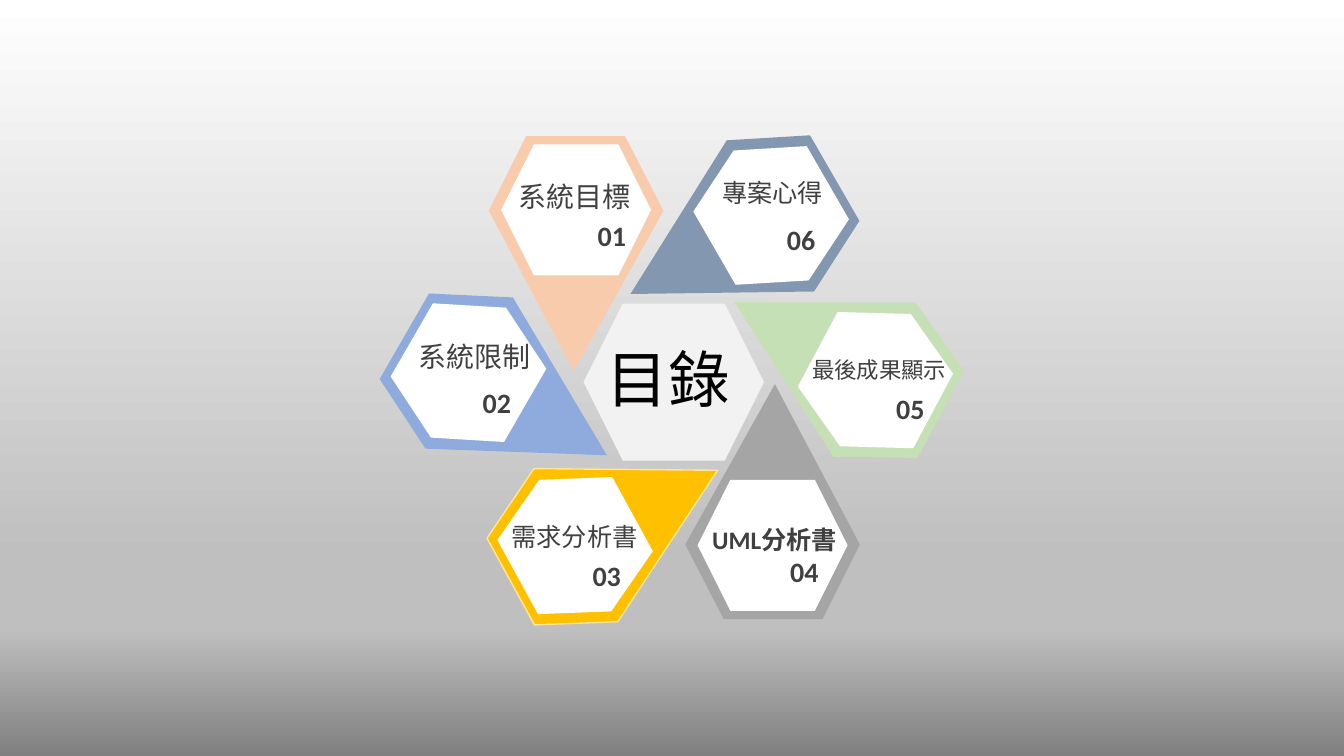
from math import cos, radians, sin

from lxml.etree import SubElement
from pptx import Presentation
from pptx.dml.color import RGBColor
from pptx.enum.shapes import MSO_SHAPE as SHAPE
from pptx.enum.text import MSO_AUTO_SIZE as FIT, PP_ALIGN as ALIGN
from pptx.oxml.ns import qn
from pptx.util import Cm, Pt

WHITE = RGBColor(0xFF, 0xFF, 0xFF)
BLACK = RGBColor(0x00, 0x00, 0x00)
DARK = RGBColor(0x40, 0x40, 0x40)
PALE = RGBColor(0xF2, 0xF2, 0xF2)
SILVER = RGBColor(0xBF, 0xBF, 0xBF)
SHADE = RGBColor(0x80, 0x80, 0x80)
PEACH = RGBColor(0xF8, 0xCB, 0xAD)
SLATE = RGBColor(0x84, 0x97, 0xB0)
GREEN = RGBColor(0xC5, 0xE0, 0xB4)
GRAY = RGBColor(0xA5, 0xA5, 0xA5)
GOLD = RGBColor(0xFF, 0xC0, 0x00)
CREAM = RGBColor(0xFF, 0xE6, 0x99)
BLUE = RGBColor(0x8F, 0xAA, 0xDC)

LATIN, CJK = "Calibri", "Noto Sans CJK JP"
OUTLINE = [(1.26, 2.96), (-1.23, 2.96), (-2.2, 1.08), (0.06, -2.96), (2.2, 1.08)]
HEX_W, HEX_H, HEX_SHIFT = 3.78, 3.3, 1.1
LABEL_W, NUMBER_W = 4.04, 1.25

# centre x, centre y, rotation, fill, line
PETALS = [
    (14.52, 6.39, 180, PEACH, None),
    (18.48, 5.98, 240, SLATE, None),
    (21.09, 9.06, 298.1, GREEN, None),
    (19.47, 12.64, 0, GRAY, None),
    (15.46, 13.22, 61.3, GOLD, CREAM),
    (12.76, 9.94, 120, BLUE, None),
]
# number, right edge, top
NUMBERS = [
    ("01", 16.03, 5.38), ("06", 20.8, 5.49), ("05", 23.55, 9.73),
    ("04", 20.88, 13.84), ("03", 15.9, 13.94), ("02", 13.13, 9.58),
]
# label, centre x, top, size, font, bold
LABELS = [
    ("系統目標", 14.47, 4.39, 20, CJK, False),
    ("專案心得", 19.47, 4.34, 18, CJK, False),
    ("最後成果顯示", 22.16, 8.84, 16, CJK, False),
    ("UML分析書", 19.52, 13.08, 18, LATIN, True),
    ("需求分析書", 14.48, 13.0, 18, CJK, False),
    ("系統限制", 11.95, 8.43, 20, CJK, False),
]


def write(tf, text, size=20, font=CJK, color=DARK, bold=False, align=ALIGN.CENTER):
    p = tf.paragraphs[0]
    p.alignment = align
    r = p.add_run()
    r.text = text
    r.font.size, r.font.name, r.font.bold = Pt(size), font, bold
    r.font.color.rgb = color
    SubElement(r.font._element, qn("a:ea"), typeface=CJK)


class Wheel:
    """Draws the contents wheel on one slide, with lengths in centimetres."""

    def __init__(self, s):
        self.s = s
        self.shapes = s.shapes.add_group_shape().shapes

    def background(self, stops):
        fill = self.s.background.fill
        fill.gradient()
        fill.gradient_angle = 270
        gs_list = next(self.s._element.iter(qn("a:gsLst")))
        for gs in list(gs_list):
            gs_list.remove(gs)
        for percent, color in stops:
            gs = SubElement(gs_list, qn("a:gs"), pos=str(percent * 1000))
            SubElement(gs, qn("a:srgbClr"), val=str(color))

    def paint(self, sp, fill, line=None):
        sp.shadow.inherit = False
        sp.fill.solid()
        sp.fill.fore_color.rgb = fill
        if line is None:
            sp.line.fill.background()
        else:
            sp.line.color.rgb = line
            sp.line.width = Pt(1)

    def hexagon(self, cx, cy, w, h, fill, rotation=0):
        sp = self.shapes.add_shape(
            SHAPE.HEXAGON, Cm(cx - w / 2), Cm(cy - h / 2), Cm(w), Cm(h))
        sp.rotation = rotation
        self.paint(sp, fill)

    def petal(self, cx, cy, rotation, fill, line):
        points = [(Cm(cx + x), Cm(cy + y)) for x, y in OUTLINE]
        builder = self.shapes.build_freeform(*points[0])
        builder.add_line_segments(points[1:], close=True)
        sp = builder.convert_to_shape()
        sp.rotation = rotation
        self.paint(sp, fill, line)
        turn = radians(rotation)
        self.hexagon(cx - HEX_SHIFT * sin(turn), cy + HEX_SHIFT * cos(turn),
                     HEX_W, HEX_H, WHITE, (rotation + 180) % 360)

    def text(self, text, x, y, w, h, wrap=True, shapes=None, **style):
        sp = (shapes or self.shapes).add_textbox(Cm(x), Cm(y), Cm(w), Cm(h))
        tf = sp.text_frame
        tf.word_wrap = wrap
        tf.auto_size = FIT.SHAPE_TO_FIT_TEXT
        write(tf, text, **style)


def main():
    prs = Presentation()
    prs.slide_width, prs.slide_height = Cm(33.87), Cm(19.05)
    wheel = Wheel(prs.slides.add_slide(prs.slide_layouts[6]))
    wheel.background([(0, WHITE), (74, SILVER), (83, SILVER), (100, SHADE)])
    wheel.hexagon(16.98, 9.63, 4.55, 3.96, PALE)
    for petal in PETALS:
        wheel.petal(*petal)
    for number, right, top in NUMBERS:
        wheel.text(number, right - NUMBER_W, top, NUMBER_W, 1.12, wrap=False,
                   font=LATIN, bold=True, align=ALIGN.RIGHT)
    for label, cx, top, size, font, bold in LABELS:
        wheel.text(label, cx - LABEL_W / 2, top, LABEL_W, size * 0.056,
                   size=size, font=font, bold=bold)
    wheel.text("目錄", 15.04, 8.46, 3.63, 2.13, shapes=wheel.s.shapes,
               size=44, color=BLACK, align=ALIGN.LEFT)
    prs.save("out.pptx")


if __name__ == "__main__":
    main()
